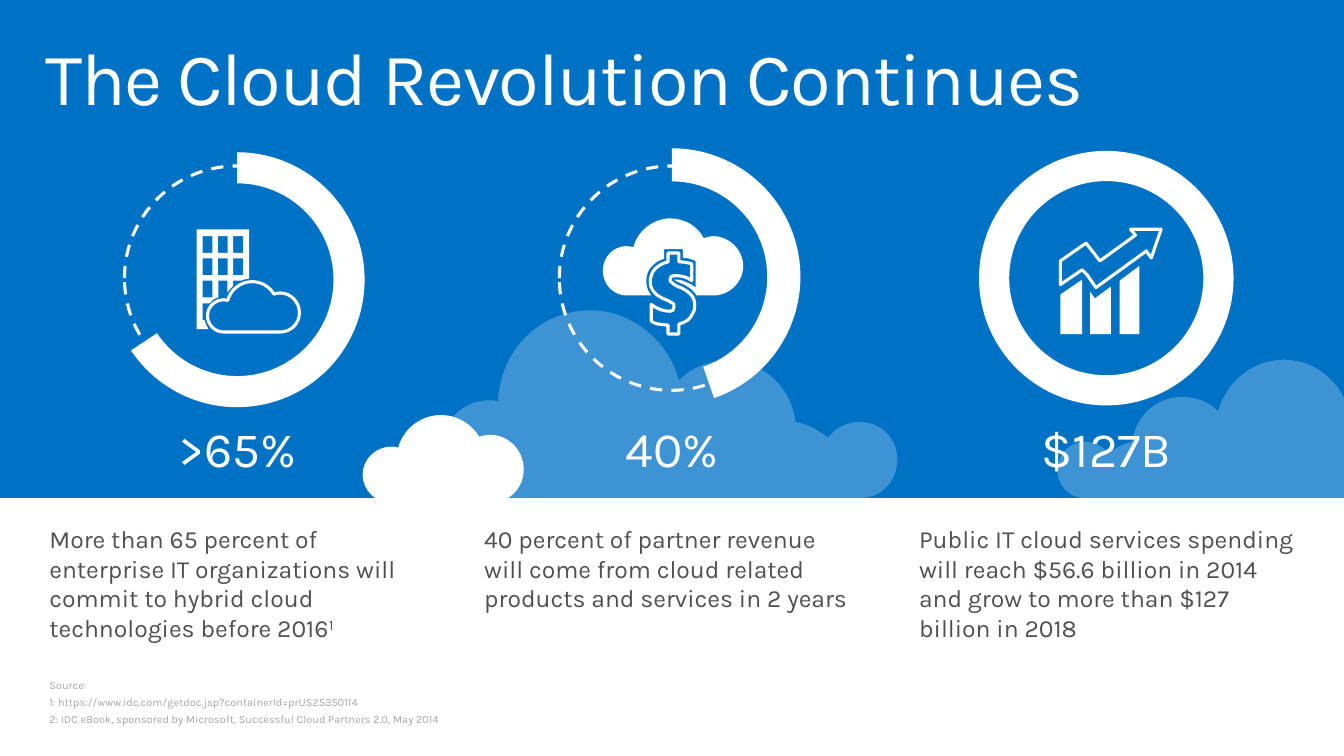
from dataclasses import dataclass, replace
from typing import Optional

from lxml.etree import SubElement
from pptx import Presentation
from pptx.dml.color import RGBColor
from pptx.enum.dml import MSO_LINE
from pptx.enum.shapes import MSO_SHAPE
from pptx.enum.text import MSO_ANCHOR, MSO_AUTO_SIZE, PP_ALIGN
from pptx.oxml.ns import qn
from pptx.util import Inches, Pt

BLUE = RGBColor(0x00, 0x72, 0xC6)
WHITE = RGBColor(0xFF, 0xFF, 0xFF)
DARK = RGBColor(0x50, 0x50, 0x50)
GREY = RGBColor(0xA6, 0xA6, 0xA6)
STEP = 4.4  # column pitch

BANK = """M 4.96 4.05 C 4.98 4.05 5 4.05 5.04 4.06 5.06 3.55 5.46 3.14 5.97 3.14
6.39 3.14 6.76 3.44 6.87 3.85 6.99 3.72 7.18 3.65 7.36 3.65 7.72 3.65 8.01 3.92 8.05 4.27
8.18 4.29 8.29 4.36 8.38 4.43 8.45 4.33 8.57 4.27 8.7 4.27 8.92 4.27 9.08 4.44 9.08 4.65
9.08 4.87 8.92 5.04 8.7 5.04 L 4.92 5.04 C 4.65 5.03 4.46 4.81 4.46 4.55
4.46 4.27 4.68 4.05 4.96 4.05"""
PUFF = """M 4.96 4.4 C 4.92 4.4 4.88 4.41 4.85 4.42 4.77 4.29 4.63 4.2 4.46 4.2
4.26 4.2 4.08 4.34 4.03 4.53 4.01 4.52 3.98 4.52 3.96 4.52 3.8 4.52 3.67 4.65 3.67 4.8
3.67 4.96 3.8 5.09 3.96 5.09 L 4.96 5.09 C 5.15 5.09 5.3 4.94 5.3 4.75 5.3 4.56 5.15 4.4 4.96 4.4"""
TOWER = """M 2.07 3.24 L 2.05 3.24 2.05 3.07 2.12 3.07 C 2.14 3.04 2.17 3.02 2.21 3.01
L 2.21 2.84 2.3 2.84 2.3 2.96 C 2.32 2.94 2.34 2.91 2.36 2.89 L 2.36 2.84 2.44 2.84
C 2.47 2.83 2.49 2.82 2.52 2.82 L 2.52 2.32 1.99 2.32 1.99 3.33 2.11 3.33
C 2.09 3.3 2.08 3.27 2.07 3.24"""
PURSE = """M 7.22 2.39 C 7.19 2.39 7.15 2.4 7.12 2.41 7.06 2.29 6.93 2.21 6.78 2.21
6.61 2.21 6.45 2.34 6.41 2.5 6.39 2.5 6.37 2.49 6.34 2.49 6.21 2.49 6.1 2.6 6.1 2.74
6.1 2.88 6.21 2.99 6.34 2.99 L 6.59 2.99 C 6.55 2.94 6.54 2.89 6.54 2.84
6.54 2.78 6.56 2.73 6.6 2.69 6.63 2.66 6.67 2.63 6.72 2.62 L 6.72 2.52 6.91 2.52 6.91 2.61
C 6.95 2.61 6.99 2.62 7.01 2.63 L 7.04 2.64 7.04 2.91 6.98 2.87
C 6.95 2.86 6.93 2.85 6.91 2.84 6.88 2.83 6.86 2.83 6.83 2.83 L 6.82 2.83
C 6.83 2.84 6.84 2.84 6.87 2.86 6.94 2.88 6.99 2.92 7.02 2.95 7.03 2.96 7.04 2.98 7.05 2.99
L 7.22 2.99 C 7.38 2.99 7.52 2.86 7.52 2.69 7.52 2.53 7.38 2.39 7.22 2.39"""
DOLLAR = """M 7.03 3.09 C 7.03 3.12 7.03 3.15 7.01 3.17 7 3.2 6.98 3.22 6.96 3.24
6.93 3.26 6.9 3.27 6.87 3.28 L 6.87 3.38 6.76 3.38 6.76 3.29
C 6.73 3.29 6.69 3.28 6.66 3.28 6.62 3.27 6.6 3.26 6.59 3.25 L 6.59 3.08
C 6.65 3.13 6.72 3.15 6.78 3.15 6.79 3.15 6.8 3.15 6.81 3.14 6.82 3.13 6.82 3.12 6.82 3.11
6.82 3.1 6.82 3.09 6.82 3.08 6.81 3.07 6.8 3.06 6.79 3.06 6.78 3.05 6.76 3.04 6.73 3.03
6.63 2.99 6.58 2.93 6.58 2.85 6.58 2.8 6.6 2.75 6.63 2.72 6.66 2.69 6.71 2.66 6.76 2.65
L 6.76 2.56 6.87 2.56 6.87 2.65 C 6.92 2.65 6.97 2.66 7 2.67 L 7 2.84
C 6.98 2.82 6.95 2.81 6.92 2.8 6.89 2.79 6.86 2.79 6.83 2.79 6.82 2.79 6.81 2.79 6.79 2.8
6.78 2.81 6.78 2.81 6.78 2.83 6.78 2.84 6.78 2.85 6.8 2.86 6.81 2.87 6.83 2.89 6.86 2.9
6.92 2.92 6.96 2.95 6.99 2.98 7.02 3.01 7.03 3.05 7.03 3.09"""
BARS = ("M 10.73 2.98 L 10.73 3.38 10.95 3.38 10.95 2.83",
        "M 11.08 3.02 L 11.03 2.95 11.03 3.38 11.24 3.38 11.24 2.9",
        "M 11.33 2.84 L 11.33 3.38 11.53 3.38 11.53 2.69")
ARROW = """M 11.44 2.32 L 11.49 2.38 11.13 2.64 10.99 2.46 10.73 2.64 10.73 2.88
10.95 2.73 11 2.78 11.09 2.91 11.6 2.54 11.65 2.61 11.75 2.32"""
PANE = "M 0 0 L 1 0 1 1 0 1"


@dataclass
class Look:
    fill: Optional[RGBColor] = None
    alpha: int = 100
    width: float = 0
    dash: bool = False


@dataclass
class Loop:
    """Points of a closed outline, each with its step letter."""
    dots: list
    modes: str


@dataclass
class Note:
    box: tuple
    lines: list
    size: float
    color: RGBColor
    frame: dict
    para: dict
    pad: tuple = (0.2, 0.16)
    track: int = 0
    mark: str = ""


SOLID = Look(WHITE)
HAZE = Look(WHITE, alpha=24)
EDGE = Look(width=2.25)
DASHED = Look(width=2.25, dash=True)
RING = Look(width=22)


def paint(shape, look: Look) -> None:
    shape.shadow.inherit = False
    if look.fill is None:
        shape.fill.background()
    else:
        shape.fill.solid()
        shape.fill.fore_color.rgb = look.fill
        if look.alpha < 100:
            tint = shape._element.spPr.find(qn("a:solidFill"))[0]
            SubElement(tint, qn("a:alpha")).set("val", str(look.alpha * 1000))
    if look.width:
        shape.line.color.rgb = WHITE
        shape.line.width = Pt(look.width)
        if look.dash:
            shape.line.dash_style = MSO_LINE.DASH
    else:
        shape.line.fill.background()


def trace(route: str) -> Loop:
    nums, modes, mode = [], "", "M"
    for word in route.split():
        if word.isalpha():
            mode = word
        else:
            nums.append(float(word))
            modes += mode
    return Loop(list(zip(nums[::2], nums[1::2])), modes[::2])


def fit(loop: Loop, box: tuple, flip: bool = False) -> Loop:
    left, top, wide, high = box
    xs, ys = zip(*loop.dots)
    spanx, spany = max(xs) - min(xs), max(ys) - min(ys)
    return replace(loop, dots=[
        (left + wide * ((max(xs) - x) if flip else (x - min(xs))) / spanx,
         top + high * (y - min(ys)) / spany) for x, y in loop.dots])


def bend(shape, modes: str) -> None:
    """Join each three C points of the outline into one curve."""
    steps = [s for s in shape._element.iter(qn("a:moveTo"), qn("a:lnTo"))]
    curve = None
    for step, mode in zip(steps, modes):
        if mode != "C":
            continue
        if curve is None or len(curve) == 3:
            curve = step
            curve.tag = qn("a:cubicBezTo")
        else:
            curve.append(step[0])
            step.getparent().remove(step)


def draw(shapes, loops: list, look: Look) -> None:
    """Draw closed loops as one outline."""
    pen = None
    for loop in loops:
        first, *rest = [(Inches(x), Inches(y)) for x, y in loop.dots]
        if pen is None:
            pen = shapes.build_freeform(*first, scale=1.0)
        else:
            pen.move_to(*first)
        pen.add_line_segments(rest, close=False)
        if loop.modes[-1] != "C":
            pen.add_line_segments([], close=True)
    shape = pen.convert_to_shape()
    bend(shape, "".join(loop.modes for loop in loops))
    paint(shape, look)


def preset(shapes, kind, box: tuple, look: Look):
    shape = shapes.add_shape(kind, *map(Inches, box))
    paint(shape, look)
    return shape


def arc(shapes, box: tuple, end: float, thick: float) -> None:
    shape = preset(shapes, MSO_SHAPE.BLOCK_ARC, box, SOLID)
    shape.rotation = 270
    for n, val in enumerate((215.97, end, thick)):
        shape.adjustments[n] = val


def write(shapes, note: Note) -> None:
    frame = shapes.add_textbox(*map(Inches, note.box)).text_frame
    padx, pady = map(Inches, note.pad)
    base = dict(word_wrap=True, margin_left=padx, margin_right=padx,
                margin_top=pady, margin_bottom=pady)
    for key, val in {**base, **note.frame}.items():
        setattr(frame, key, val)
    for n, line in enumerate(note.lines):
        para = frame.add_paragraph() if n else frame.paragraphs[0]
        para.text = line
        for key, val in note.para.items():
            setattr(para, key, val)
        if note.mark:
            run = para.add_run()
            run.text = note.mark
            run._r.get_or_add_rPr().set("baseline", "30000")
        for run in para.runs:
            for key, val in dict(name="Karla", size=Pt(note.size)).items():
                setattr(run.font, key, val)
            run.font.color.rgb = note.color
            if note.track:
                run._r.get_or_add_rPr().set("spc", str(note.track))


def main() -> None:
    deck = Presentation()
    deck.slide_width, deck.slide_height = Inches(13.6), Inches(7.65)
    shapes = deck.slides.add_slide(deck.slide_layouts[6]).shapes

    preset(shapes, MSO_SHAPE.RECTANGLE, (0, -0.02, 13.6, 5.06), Look(BLUE))
    bank, puff = trace(BANK), trace(PUFF)
    draw(shapes, [bank], HAZE)
    draw(shapes, [fit(bank, (10.7, 3.64, 3.4, 1.4), flip=True)], HAZE)
    draw(shapes, [puff], SOLID)

    tight = dict(line_spacing=0.9)
    grow = dict(auto_size=MSO_AUTO_SIZE.SHAPE_TO_FIT_TEXT)
    write(shapes, Note((0.3, 0.32, 13, 1), ["The Cloud Revolution Continues"], 54, WHITE,
                       {}, tight, pad=(0.16, 0.1), track=-100))
    facts = (
        (">65%", "More than 65 percent of \nenterprise IT organizations will commit to hybrid "
         "cloud technologies before 2016", "1"),
        ("40%", "40 percent of partner revenue will come from cloud related products and "
         "services in 2 years", ""),
        ("$127B", "Public IT cloud services spending will reach $56.6 billion in 2014 \n"
         "and grow to more than $127 billion in 2018", ""),
    )
    for n, (total, fact, mark) in enumerate(facts):
        left = 0.3 + n * STEP
        write(shapes, Note((left, 5.14, 4.2, 1.48), [fact], 18, DARK, {}, {}, mark=mark))
        write(shapes, Note((left, 4.14, 4.2, 0.88), [total], 36, WHITE, grow,
                           {**tight, "alignment": PP_ALIGN.CENTER}))
        preset(shapes, MSO_SHAPE.OVAL, (1.26 + n * STEP, 1.68, 2.27, 2.27),
               RING if n == 2 else DASHED)
    write(shapes, Note((0.3, 6.7, 6, 0.81), [
        "Source:",
        "1: https://www.idc.com/getdoc.jsp?containerId=prUS25350114",
        "2: IDC eBook, sponsored by Microsoft, Successful Cloud Partners 2.0, May 2014",
    ], 8, GREY, {**grow, "vertical_anchor": MSO_ANCHOR.BOTTOM}, {**tight, "space_after": Pt(4)}))

    arc(shapes, (1.11, 1.54, 2.58, 2.58), 141.78, 0.122)
    arc(shapes, (5.5, 1.5, 2.6, 2.6), 96.51, 0.129)

    panes = [(c, r) for r in range(3) for c in range(3) if r < 2 or c == 0]
    holes = [fit(trace(PANE), (2.05 + 0.155 * c, 2.39 + 0.225 * r, 0.1, 0.17))
             for c, r in panes]
    draw(shapes, [trace(TOWER), *holes], SOLID)
    draw(shapes, [fit(puff, (2.1, 2.85, 0.93, 0.51))], EDGE)
    money, chart = (shapes.add_group_shape().shapes for _ in range(2))
    draw(money, [trace(PURSE)], SOLID)
    draw(money, [trace(DOLLAR)], EDGE)
    for bar in BARS:
        draw(chart, [trace(bar)], SOLID)
    draw(chart, [trace(ARROW)], EDGE)

    deck.save("out.pptx")


if __name__ == "__main__":
    main()
